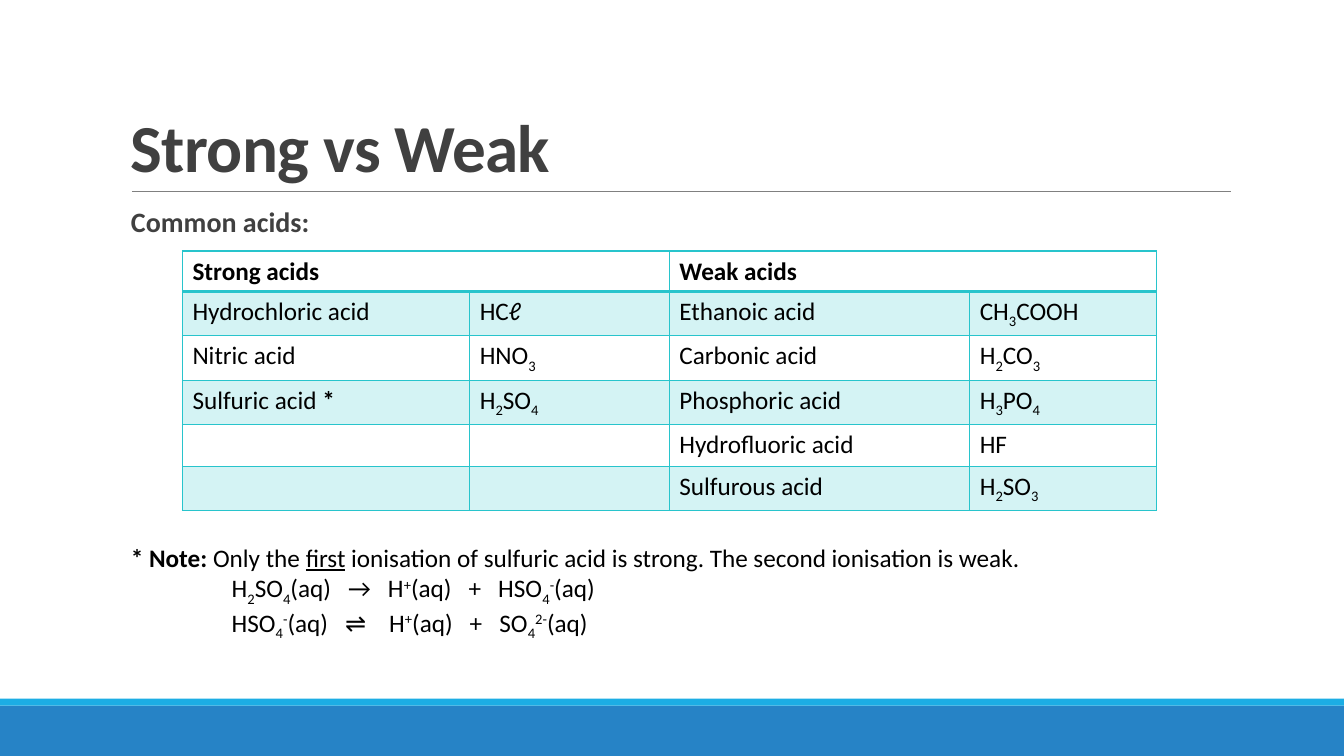
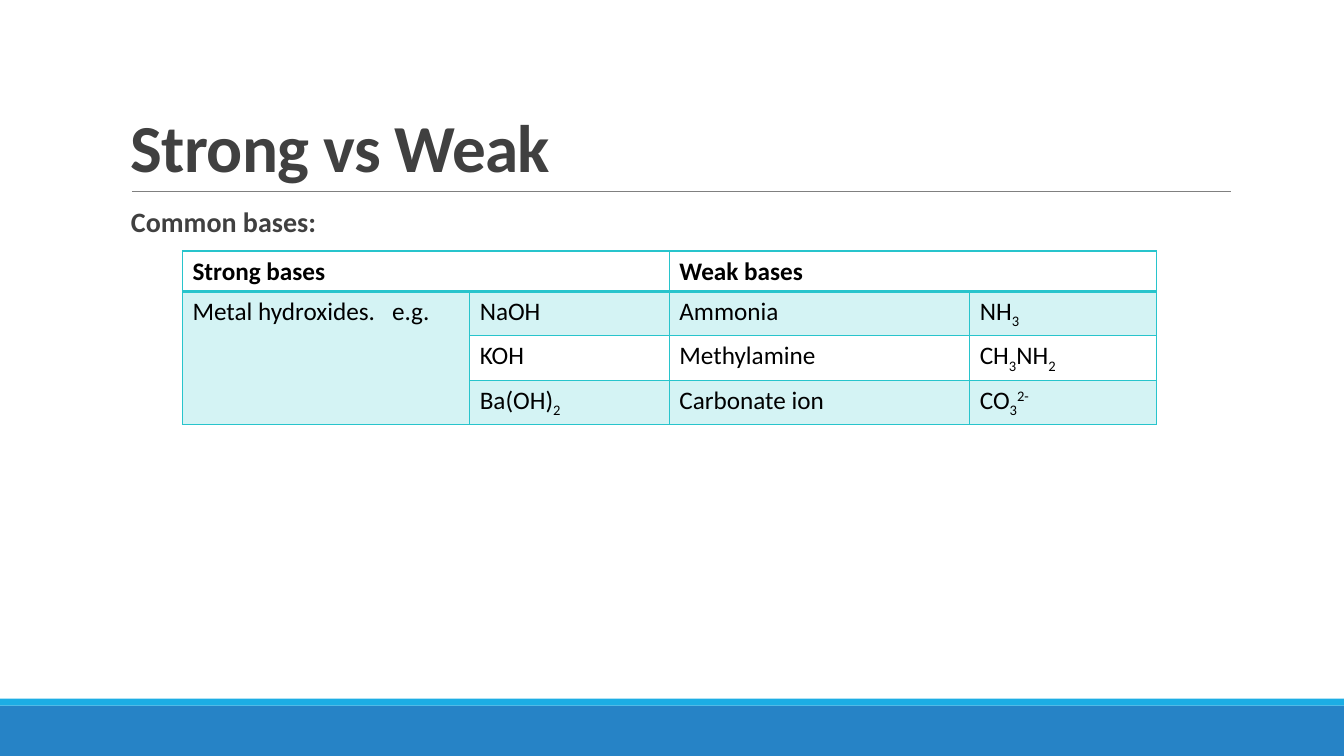
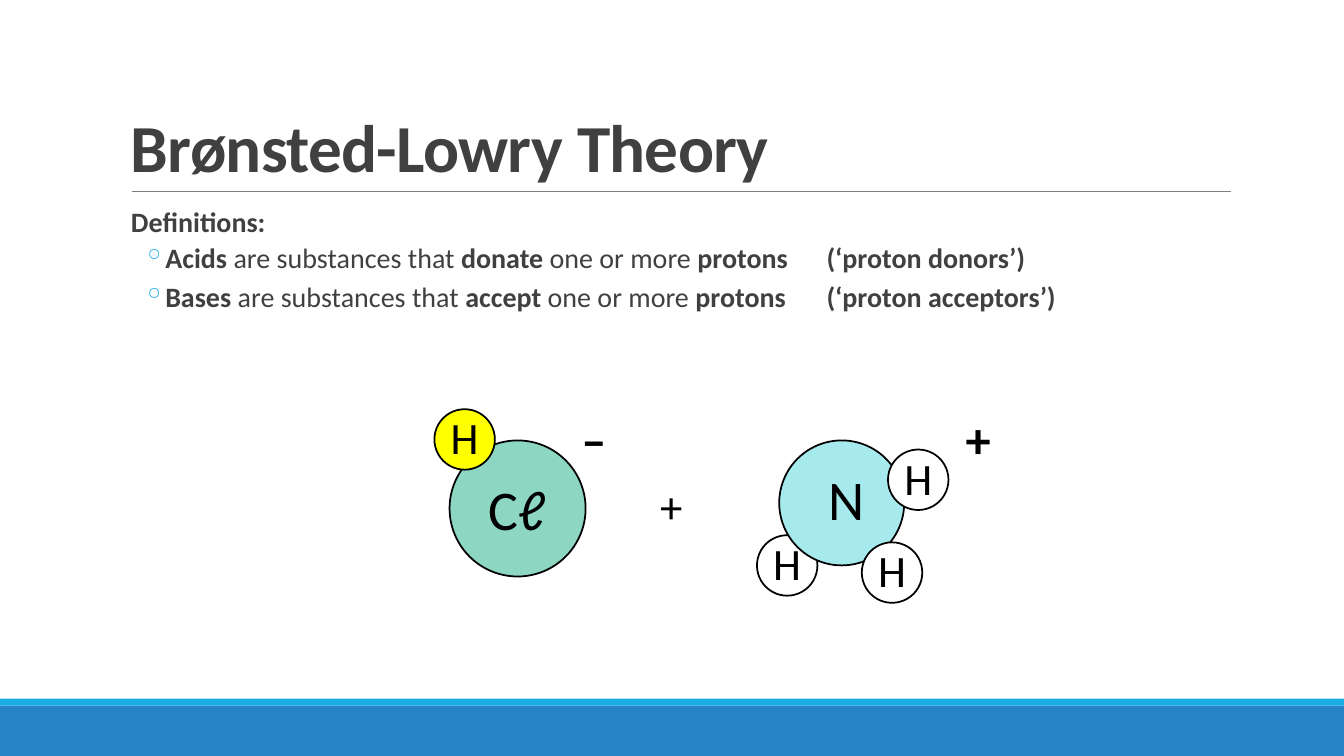
from lxml import etree
from pptx import Presentation
from pptx.dml.color import RGBColor
from pptx.enum import shapes, text
from pptx.oxml.ns import qn
from pptx.util import Pt

BLUE = RGBColor(0x26, 0x83, 0xC6)
SKY = RGBColor(0x1C, 0xAD, 0xE4)
GREY = RGBColor(0x80, 0x80, 0x80)
DARK = RGBColor(0x40, 0x40, 0x40)
BLACK = RGBColor(0, 0, 0)
WHITE = RGBColor(0xFF, 0xFF, 0xFF)
TEAL = RGBColor(0x28, 0xC4, 0xCC)
GREEN = RGBColor(0x8D, 0xD6, 0xC1)
AQUA = RGBColor(0xA6, 0xEA, 0xEE)
YELLOW = RGBColor(0xFF, 0xFF, 0)

FONT = "Calibri"
WIDTH, HEIGHT = 960, 540
LEFT, TEXT_W = 86.4, 792
BODY_TOP = 145.5
TABLE_LEFT, TABLE_TOP = 130.3, 179.3
COLUMNS = (205.2, 142.6, 214.6, 133.2)
HEADER_H, ROW_H = 23, 29.5
BASELINES = {"~": "-25000", "^": "30000"}


def add_runs(p, marked, size, color=BLACK, **extra):
    """Add runs from marked text: |bold|, _underline_, ~subscript~, ^superscript^."""
    on = dict.fromkeys("|_~^", False)
    chunk = ""

    def flush():
        if not chunk:
            return
        r = p.add_run()
        r.text = chunk
        formats = {"name": FONT, "size": Pt(size), "bold": on["|"], "underline": on["_"], **extra}
        for name, value in formats.items():
            setattr(r.font, name, value)
        r.font.color.rgb = color
        for mark, baseline in BASELINES.items():
            if on[mark]:
                r.font._element.set("baseline", baseline)

    for char in marked:
        if char in on:
            flush()
            chunk = ""
            on[char] = not on[char]
        else:
            chunk += char
    flush()


def text_box(s, x, y, w, h, **frame):
    tf = s.shapes.add_textbox(Pt(x), Pt(y), Pt(w), Pt(h)).text_frame
    tf.word_wrap = True
    for name, value in frame.items():
        setattr(tf, name, value)
    return tf


def set_indent(p, margin, first=0):
    pPr = p._p.get_or_add_pPr()
    pPr.set("marL", str(Pt(margin)))
    pPr.set("indent", str(Pt(first)))
    return pPr


def filled(s, kind, x, y, w, h, color):
    sp = s.shapes.add_shape(kind, Pt(x), Pt(y), Pt(w), Pt(h))
    sp.shadow.inherit = False
    sp.fill.solid()
    sp.fill.fore_color.rgb = color
    sp.line.fill.background()
    return sp


def titled_slide(prs, title):
    """Add a slide with the shared bands, rule and title."""
    s = prs.slides.add_slide(prs.slide_layouts[6])
    for top, height, color in ((504, 36, BLUE), (499, 5, SKY)):
        filled(s, shapes.MSO_SHAPE.RECTANGLE, 0, top, WIDTH, height, color)
    rule = s.shapes.add_connector(shapes.MSO_CONNECTOR.STRAIGHT,
                                  Pt(94.3), Pt(136.8), Pt(879.1), Pt(136.8))
    rule.line.color.rgb = GREY
    rule.line.width = Pt(0.5)
    etree.SubElement(rule._element.spPr, qn("a:effectLst"))
    tf = text_box(s, LEFT, 22.3, TEXT_W, 114.5, vertical_anchor=text.MSO_ANCHOR.BOTTOM)
    p = tf.paragraphs[0]
    p.line_spacing = 0.85
    add_runs(p, f"|{title}|", 48, DARK)
    p.runs[0].font._element.set("spc", "-50")
    return s


def body(s, x, y, w, h, heading, points=()):
    tf = text_box(s, x, y, w, h, margin_left=0, margin_right=0)
    p = tf.paragraphs[0]
    set_indent(p, 7.2)
    p.line_spacing, p.space_after = 0.9, Pt(2)
    add_runs(p, f"|{heading}|", 20, DARK)
    for point in points:
        p = tf.add_paragraph()
        pPr = set_indent(p, 30.2, -14.4)
        color = etree.SubElement(pPr, qn("a:buClr"))
        etree.SubElement(color, qn("a:srgbClr"), val=str(SKY))
        etree.SubElement(pPr, qn("a:buChar"), char="◦")
        p.line_spacing, p.space_before, p.space_after = 0.9, Pt(2), Pt(4)
        add_runs(p, point, 20, DARK)


def style_cell(cell, row):
    """Shade odd rows and draw the borders, heavier under the header."""
    if row % 2:
        cell.fill.solid()
        cell.fill.fore_color.rgb = TEAL
    else:
        cell.fill.background()
    tcPr = cell._tc.get_or_add_tcPr()
    for color in tcPr.iter(qn("a:srgbClr")):
        etree.SubElement(color, qn("a:alpha"), val="20000")
    widths = {"L": 1, "R": 1, "T": 2 if row == 1 else 1, "B": 2 if row == 0 else 1}
    for place, (side, width) in enumerate(widths.items()):
        ln = etree.Element(qn(f"a:ln{side}"), w=str(Pt(width)))
        fill = etree.SubElement(ln, qn("a:solidFill"))
        etree.SubElement(fill, qn("a:srgbClr"), val=str(TEAL))
        tcPr.insert(place, ln)


def comparison_table(s, x, y, headers, rows, merges=()):
    strong, weak = headers
    grid = [(f"|{strong}|", "", f"|{weak}|", "")] + rows
    heights = [HEADER_H] + [ROW_H] * len(rows)
    table = s.shapes.add_table(len(grid), len(COLUMNS), Pt(x), Pt(y),
                               Pt(sum(COLUMNS)), Pt(sum(heights))).table
    table.first_row = table.horz_banding = False
    for column, width in zip(table.columns, COLUMNS):
        column.width = Pt(width)
    for i, (values, height) in enumerate(zip(grid, heights)):
        table.rows[i].height = Pt(height)
        for j, value in enumerate(values):
            cell = table.cell(i, j)
            style_cell(cell, i)
            add_runs(cell.text_frame.paragraphs[0], value, 18)
    for first, last in (((0, 0), (0, 1)), ((0, 2), (0, 3)), *merges):
        table.cell(*first).merge(table.cell(*last))


def note(s, x, y, w, h, lead, equations):
    tf = text_box(s, x, y, w, h)
    add_runs(tf.paragraphs[0], lead, 18)
    for equation in equations:
        p = tf.add_paragraph()
        set_indent(p, 72)
        add_runs(p, equation, 18)


def atom(s, x, y, diameter, symbol, color, size=32, nudge=(0, -1.5)):
    """Draw a ball with its symbol centred, moved by nudge."""
    ball = filled(s, shapes.MSO_SHAPE.OVAL, x, y, diameter, diameter, color)
    ball.line.color.rgb = BLACK
    ball.line.width = Pt(1.25)
    height = size * 1.22 + 7.2
    tf = text_box(s, x + nudge[0], y + (diameter - height) / 2 + nudge[1], diameter, height)
    p = tf.paragraphs[0]
    p.alignment = text.PP_ALIGN.CENTER
    add_runs(p, symbol, size)


def sign(s, x, y, w, h, marked, size):
    add_runs(text_box(s, x, y, w, h).paragraphs[0], marked, size)


def hydrogen(s, x, y, color=WHITE):
    atom(s, x, y, 43.2, "H", color)


def hydrogen_chloride(s, x, y):
    atom(s, x + 10.8, y + 26.6, 97.2, "Cℓ", GREEN, 40, (0, 0))
    hydrogen(s, x, y + 4.3, YELLOW)
    sign(s, x + 97.9, y, 43.2, 51, "|–|", 36)


def ammonia(s, x, y):
    hydrogen(s, x, y + 94.3)
    atom(s, x + 15.9, y + 26.6, 89.3, "N", AQUA, 40, (3.6, -3))
    hydrogen(s, x + 93.6, y + 33.1)
    hydrogen(s, x + 74.9, y + 99.4)
    sign(s, x + 141.9, y, 43.2, 51, "|+|", 36)


def acids_slide(prs):
    s = titled_slide(prs, "Strong vs Weak")
    body(s, LEFT, BODY_TOP, TEXT_W, 316.8, "Common acids:")
    comparison_table(s, TABLE_LEFT, TABLE_TOP, ("Strong acids", "Weak acids"), [
        ("Hydrochloric acid", "HCℓ", "Ethanoic acid", "CH~3~COOH"),
        ("Nitric acid", "HNO~3~", "Carbonic acid", "H~2~CO~3~"),
        ("Sulfuric acid |*|", "H~2~SO~4~", "Phosphoric acid", "H~3~PO~4~"),
        ("", "", "Hydrofluoric acid", "HF"),
        ("", "", "Sulfurous acid", "H~2~SO~3~"),
    ])
    note(s, LEFT, 383.8, 783.4, 72.7,
         "|* Note:| Only the _first_ ionisation of sulfuric acid is strong. "
         "The second ionisation is weak.",
         ("H~2~SO~4~(aq)   →   H^+^(aq)   +   HSO~4~^-^(aq)",
          "HSO~4~^-^(aq)   ⇌    H^+^(aq)   +   SO~4~^2-^(aq)"))


def bases_slide(prs):
    s = titled_slide(prs, "Strong vs Weak")
    body(s, LEFT, BODY_TOP, TEXT_W, 316.8, "Common bases:")
    comparison_table(s, TABLE_LEFT, TABLE_TOP, ("Strong bases", "Weak bases"), [
        ("Metal hydroxides.   e.g.", "NaOH", "Ammonia", "NH~3~"),
        ("", "KOH", "Methylamine", "CH~3~NH~2~"),
        ("", "Ba(OH)~2~", "Carbonate ion", "CO~3~^2-^"),
    ], merges=[((1, 0), (3, 0))])


def theory_slide(prs):
    s = titled_slide(prs, "Brønsted-Lowry Theory")
    body(s, LEFT, BODY_TOP, TEXT_W, 91.4, "Definitions:", (
        "|Acids |are substances that |donate| one or more |protons\t(‘proton donors’)|",
        "|Bases| are substances that |accept |one or more |protons\t(‘proton acceptors’)|"))
    hydrogen_chloride(s, 310.3, 288)
    sign(s, 464.4, 338.4, 61.2, 46, "+", 32)
    ammonia(s, 540.7, 288)


def main():
    prs = Presentation()
    prs.slide_width, prs.slide_height = Pt(WIDTH), Pt(HEIGHT)
    for build in (acids_slide, bases_slide, theory_slide):
        build(prs)
    prs.save("out.pptx")


if __name__ == "__main__":
    main()
